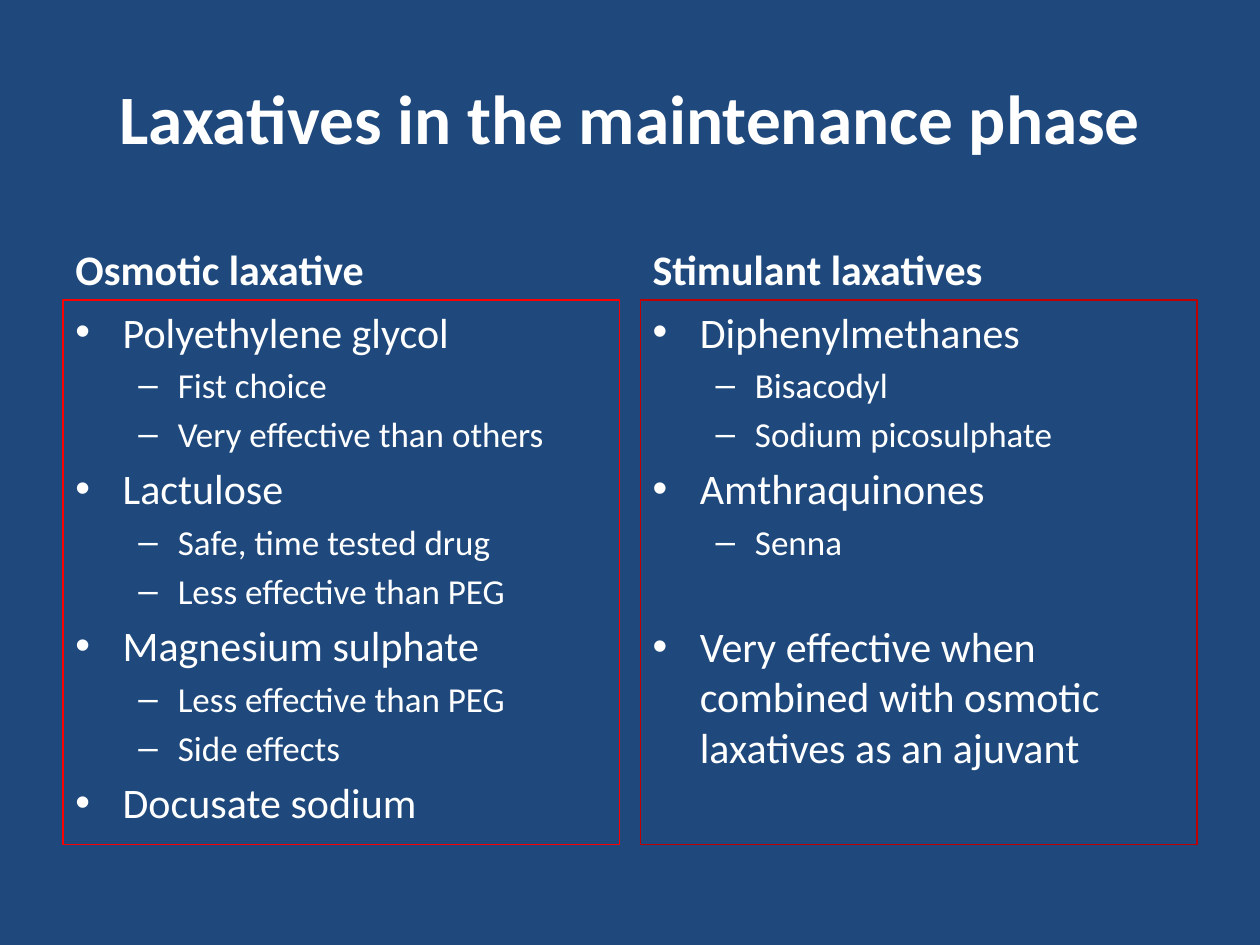
from lxml.etree import SubElement as Sub
from pptx import Presentation
from pptx.dml.color import RGBColor as RGB
from pptx.enum.text import MSO_ANCHOR as Anchor, PP_ALIGN as Align
from pptx.oxml.ns import qn
from pptx.util import Pt

INK = {"back": "1F497D", "text": "FFFFFF", "left": "FF0000", "right": "C00000"}
# Per level: bullet, text size, left margin, hanging indent, space before
LEVELS = [("•", 24, 27, -27, 4.8), ("–", 20, 58.5, -22.5, 4)]
GAP = 33.2  # space before a set-apart point
WIDE = 318.2


def write(para, text, size, bold=False):
    run = para.add_run()
    run.text = text
    font = run.font
    font.name, font.size, font.bold = "Calibri", Pt(size), bold
    font.color.rgb = RGB.from_string(INK["text"])


def add_box(slide, left, top, high, anchor):
    box = slide.shapes.add_textbox(Pt(left), Pt(top), Pt(WIDE), Pt(high))
    box.text_frame.word_wrap = True
    box.text_frame.vertical_anchor = anchor
    return box


# Slide and background
deck = Presentation()
deck.slide_width, deck.slide_height = Pt(720), Pt(540)
slide = deck.slides.add_slide(deck.slide_layouts[5])
slide.background.fill.solid()
slide.background.fill.fore_color.rgb = RGB.from_string(INK["back"])

# Title
title = slide.shapes.title
title.left, title.top, title.width, title.height = Pt(36), Pt(21.6), Pt(648), Pt(90)
title.text_frame.vertical_anchor = Anchor.MIDDLE
para = title.text_frame.paragraphs[0]
para.alignment = Align.CENTER
write(para, "Laxatives in the maintenance phase", 39.6, True)

# Columns: each point is level, text, space before (None for the usual)
columns = [
    (36, "left", "Osmotic laxative", [
        (0, "Polyethylene glycol", 0),
        (1, "Fist choice", None),
        (1, "Very effective than others", None),
        (0, "Lactulose", None),
        (1, "Safe, time tested drug", None),
        (1, "Less effective than PEG", None),
        (0, "Magnesium sulphate", None),
        (1, "Less effective than PEG", None),
        (1, "Side effects", None),
        (0, "Docusate sodium", None),
    ]),
    (365.8, "right", "Stimulant laxatives", [
        (0, "Diphenylmethanes", 0),
        (1, "Bisacodyl", None),
        (1, "Sodium picosulphate", None),
        (0, "Amthraquinones", None),
        (1, "Senna", None),
        (0, "Very effective when combined with osmotic laxatives as an ajuvant", GAP),
    ]),
]
for left, side, name, points in columns:
    # Heading
    head = add_box(slide, left, 121, 50.4, Anchor.BOTTOM)
    write(head.text_frame.paragraphs[0], name, 24, True)

    # Framed list
    body = add_box(slide, left, 171.4, 311, Anchor.TOP)
    body.line.color.rgb = RGB.from_string(INK[side])
    body.line.width = Pt(0.75)
    frame = body.text_frame
    for i, (level, text, space) in enumerate(points):
        mark, size, margin, hang, usual = LEVELS[level]
        para = frame.add_paragraph() if i else frame.paragraphs[0]
        para.level = level
        para.space_before = Pt(usual if space is None else space)
        props = para._p.get_or_add_pPr()
        props.set("marL", str(Pt(margin)))
        props.set("indent", str(Pt(hang)))
        Sub(props, qn("a:buFont"), typeface="Arial")
        Sub(props, qn("a:buChar"), char=mark)
        write(para, text, size)

deck.save("out.pptx")
